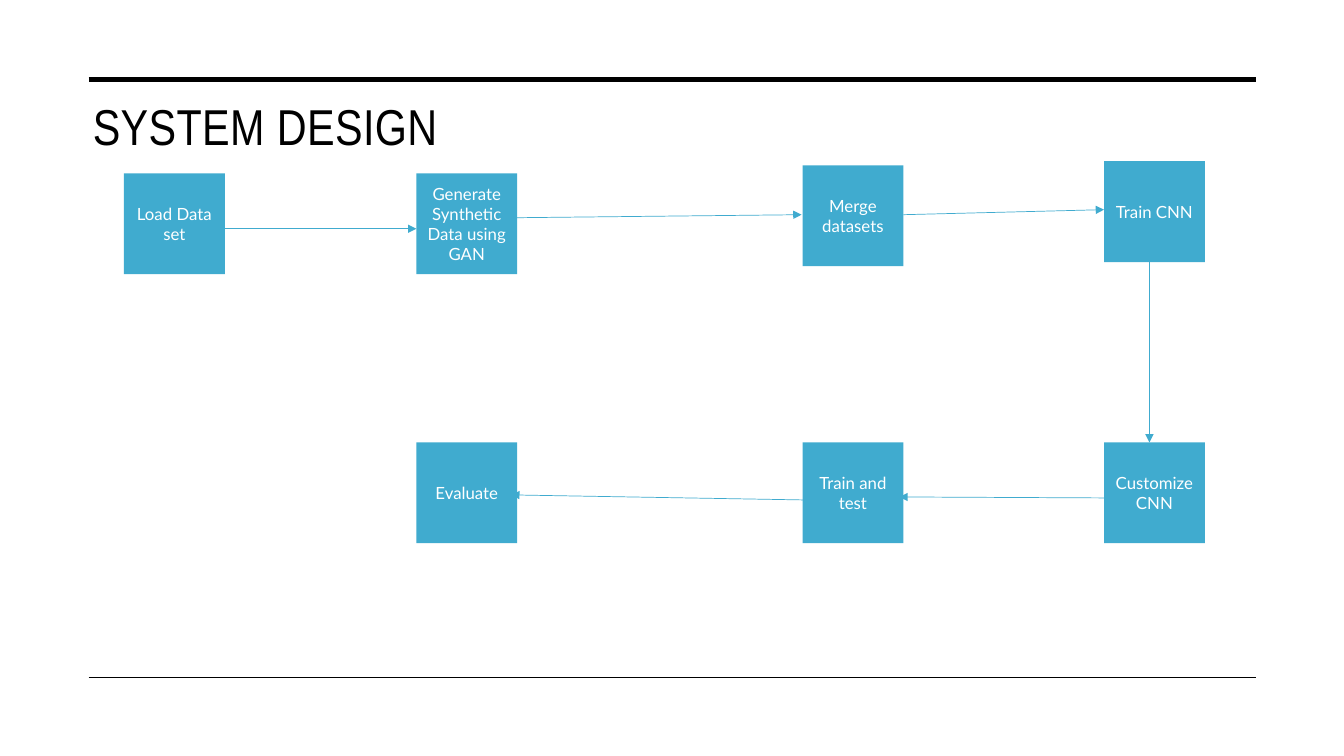
from lxml import etree
from pptx import Presentation
from pptx.dml.color import RGBColor
from pptx.enum.shapes import MSO_CONNECTOR as CONN, MSO_SHAPE as SHAPE
from pptx.enum.text import MSO_ANCHOR as ANCHOR, MSO_AUTO_SIZE as FIT, PP_ALIGN as ALIGN
from pptx.oxml.ns import qn
from pptx.util import Pt

PX = 9144  # 100 px to the inch
COLORS = {"ink": "000000", "step": "40ABCF", "label": "FFFFFF", "paper": "FFFFFF"}
STEP = 100  # side of a step box

# Columns and rows of the flow, relative to its box
COLS = (0, 290, 673, 972)
LOWER = 279
STEPS = [
    ("Load Data set", COLS[0], 12),
    ("Generate Synthetic Data using GAN", COLS[1], 12),
    ("Merge datasets", COLS[2], 4),
    ("Train CNN", COLS[3], 0),
    ("Customize CNN", COLS[3], LOWER),
    ("Train and test", COLS[2], LOWER),
    ("Evaluate", COLS[1], LOWER),
]
# Arrows in flow order: x1, y1, x2, y2
ARROWS = [
    (100, 67, 290, 67),
    (390, 56, 672, 53),
    (773, 53, 972, 48),
    (1017, 83, 1017, 279),
    (974, 334, 769, 333),
    (675, 336, 384, 331),
]


def rgb(name):
    return RGBColor.from_string(COLORS[name])


def px(*lengths):
    return [n * PX for n in lengths]


def style_text(p, font, size, color, align):
    p.alignment = align
    p.font.name, p.font.size = font, Pt(size)
    p.font.color.rgb = rgb(color)


def add_line(slide, ends, color, width, arrow=False):
    line = slide.shapes.add_connector(CONN.STRAIGHT, *px(*ends))
    line.line.color.rgb = rgb(color)
    line.line.width = Pt(width)
    if arrow:
        ln = line.line._get_or_add_ln()
        etree.SubElement(ln, qn("a:tailEnd"), type="triangle")
    etree.SubElement(line._element.spPr, qn("a:effectLst"))


def add_frame(slide, x, y, w, h):
    """Rules above and below the content."""
    for top, width in ((y, 3.5), (y + h, 1)):
        add_line(slide, (x, top, x + w, top), "ink", width)


def add_title(slide, x, y, w, h):
    title = slide.shapes.title
    title.left, title.top, title.width, title.height = px(x, y, w, h)
    tf = title.text_frame
    tf.text = "SYSTEM DESIGN"
    tf.auto_size, tf.vertical_anchor = FIT.NONE, ANCHOR.TOP
    tf.margin_top = 8 * PX
    p = tf.paragraphs[0]
    style_text(p, "Arial Narrow", 36, "ink", ALIGN.LEFT)
    p.runs[0]._r.get_or_add_rPr().set("spc", "30")


def add_step(slide, text, x, y):
    sp = slide.shapes.add_shape(SHAPE.RECTANGLE, *px(x, y, STEP, STEP))
    sp.shadow.inherit = False
    sp.fill.solid()
    sp.fill.fore_color.rgb = rgb("step")
    sp.line.fill.background()
    tf = sp.text_frame
    tf.text, tf.word_wrap, tf.vertical_anchor = text, True, ANCHOR.MIDDLE
    style_text(tf.paragraphs[0], "Lato", 12, "label", ALIGN.CENTER)


def add_flow(slide, x, y):
    """Step boxes, then the arrows that join them."""
    for text, dx, dy in STEPS:
        add_step(slide, text, x + dx, y + dy)
    for x1, y1, x2, y2 in ARROWS:
        add_line(slide, (x + x1, y + y1, x + x2, y + y2), "step", 0.5, arrow=True)


def main():
    prs = Presentation()
    prs.slide_width, prs.slide_height = px(1333, 750)
    slide = prs.slides.add_slide(prs.slide_layouts[5])  # title only
    slide.background.fill.solid()
    slide.background.fill.fore_color.rgb = rgb("paper")
    add_frame(slide, 88, 79, 1158, 593)
    add_title(slide, 82, 86, 1169, 44)
    add_flow(slide, 123, 160)
    prs.save("out.pptx")


if __name__ == "__main__":
    main()
